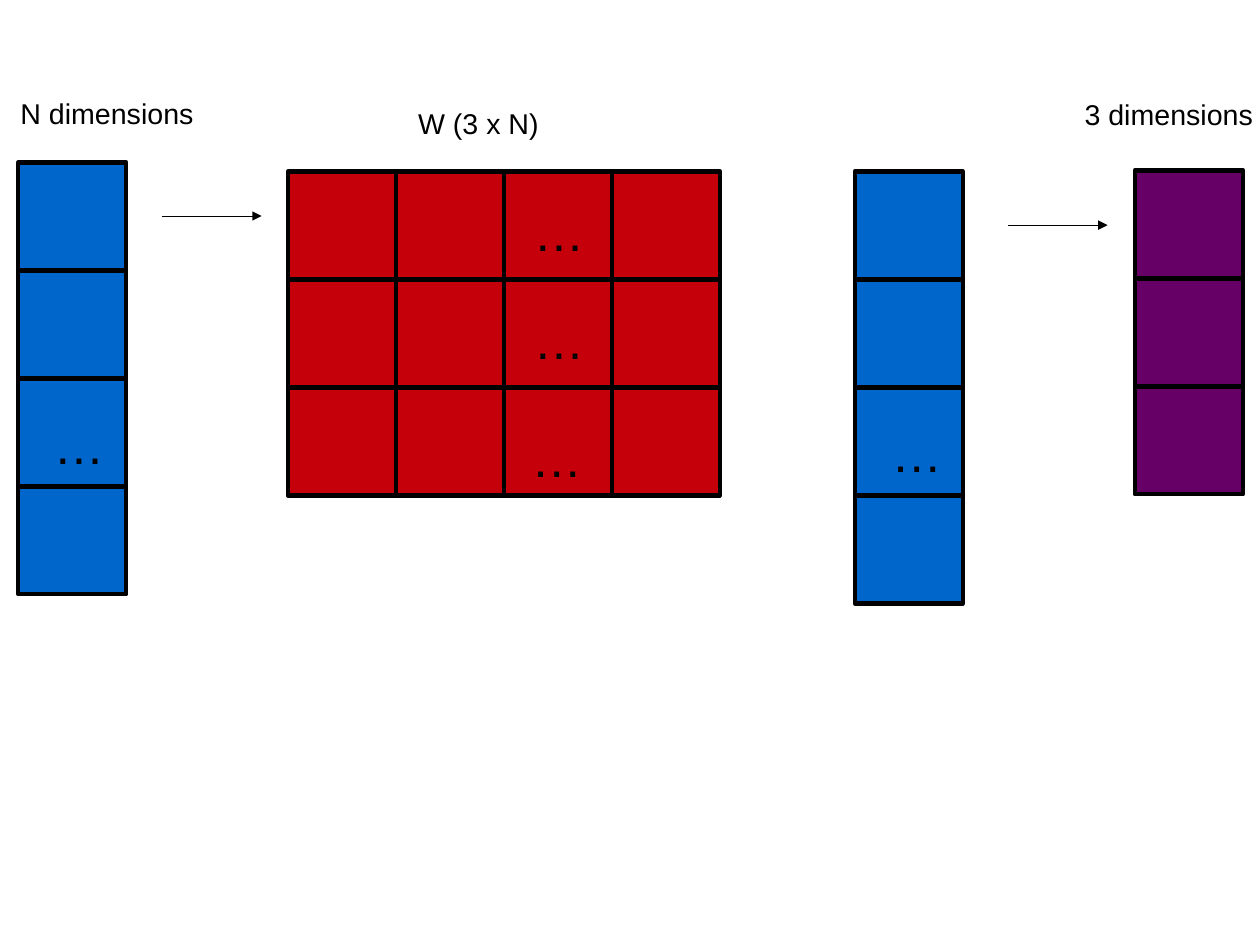
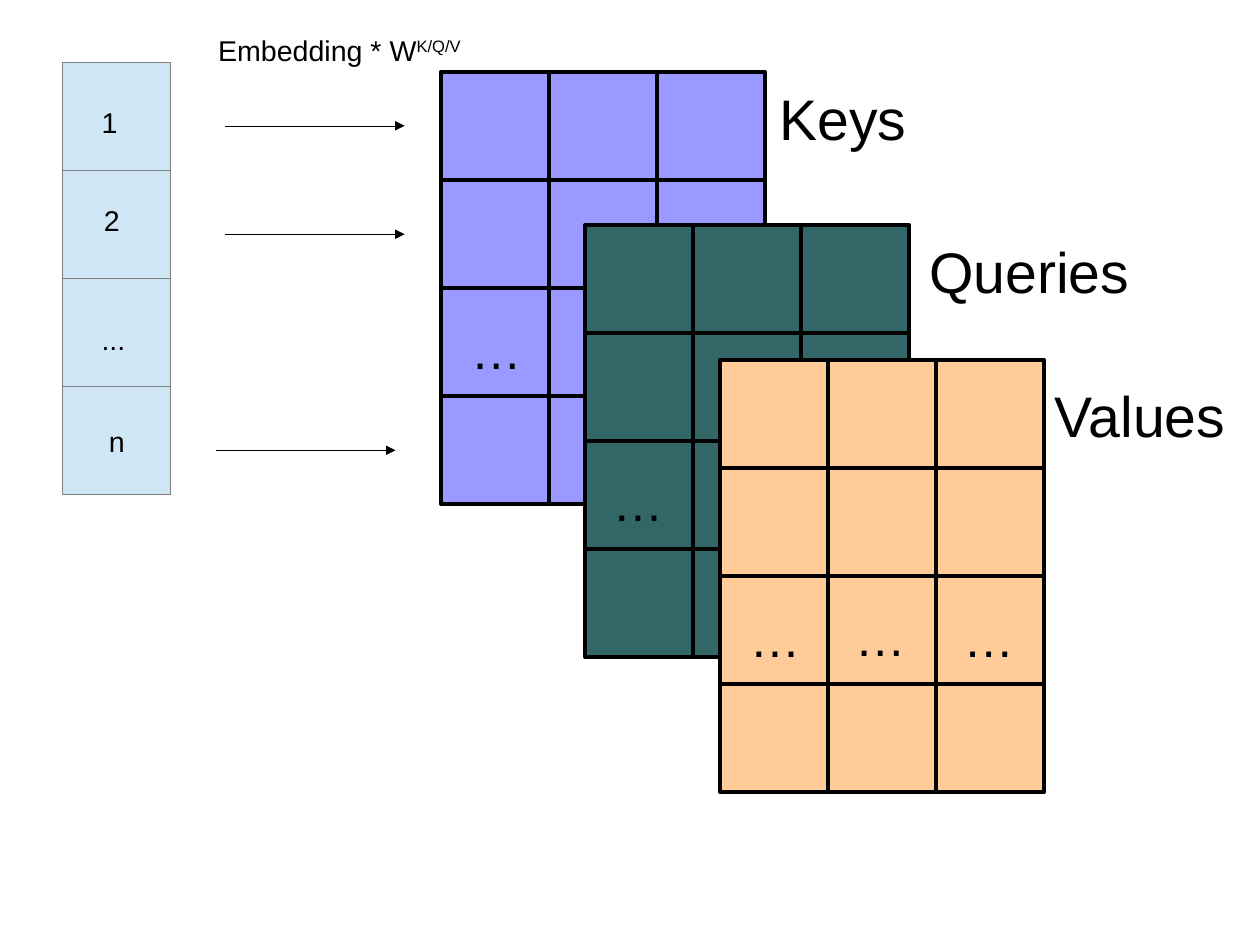
import pptx
import pptx.dml.color
import pptx.enum.dml
import pptx.enum.shapes
import pptx.enum.text
import pptx.oxml.ns
import pptx.util
from lxml import etree

Inches = pptx.util.Inches
Pt = pptx.util.Pt
RGBColor = pptx.dml.color.RGBColor
MSO_ANCHOR = pptx.enum.text.MSO_ANCHOR
PP_ALIGN = pptx.enum.text.PP_ALIGN
qn = pptx.oxml.ns.qn

BLACK = RGBColor(0x00, 0x00, 0x00)
GREY = RGBColor(0x80, 0x80, 0x80)
INPUT_BLUE = RGBColor(0x00, 0x66, 0xCC)
WEIGHT_RED = RGBColor(0xC5, 0x00, 0x0B)
OUTPUT_PURPLE = RGBColor(0x66, 0x00, 0x66)
KEY_LILAC = RGBColor(0x99, 0x99, 0xFF)
QUERY_GREEN = RGBColor(0x33, 0x66, 0x66)
VALUE_ORANGE = RGBColor(0xFF, 0xCC, 0x99)
TOKEN_BLUE = RGBColor(0xCF, 0xE7, 0xF5)

CM_PER_INCH = 2.54
PAGE_WIDTH = 28 / CM_PER_INCH
PAGE_HEIGHT = 21 / CM_PER_INCH
CELL = 2.4 / CM_PER_INCH
THICK = Pt(2.83)
HAIRLINE = Pt(0)

LABEL_MARGINS = {
    "margin_left": Inches(0.1),
    "margin_right": Inches(0.1),
    "margin_top": Inches(0.05),
    "margin_bottom": Inches(0.05),
}
DOTS_MARGINS = {
    "margin_left": Inches(0.16),
    "margin_right": Inches(0.16),
    "margin_top": Inches(0.11),
    "margin_bottom": Inches(0.11),
}


def apply_format(target, values):
    for attribute, value in values.items():
        setattr(target, attribute, value)


def set_line(line, color, width):
    line.color.rgb = color
    outline = line._get_or_add_ln()
    outline.set("w", str(int(width)))
    return outline


def add_run(paragraph, text, size):
    run = paragraph.add_run()
    run.text = text
    apply_format(run.font, {"name": "Arial", "size": Pt(size)})
    run.font.color.rgb = BLACK
    return run


def add_grid(slide, left, top, rows, columns, fill, border=BLACK, width=THICK):
    cells = []
    for row in range(rows):
        for column in range(columns):
            cell = slide.shapes.add_shape(
                pptx.enum.shapes.MSO_SHAPE.RECTANGLE,
                Inches(left + column * CELL), Inches(top + row * CELL),
                Inches(CELL), Inches(CELL))
            cell.shadow.inherit = False
            cell.fill.solid()
            cell.fill.fore_color.rgb = fill
            set_line(cell.line, border, width)
            cells.append(cell)
    return cells


def add_label(slide, text, left, top, width, height=0.38, size=18,
              margins=LABEL_MARGINS):
    label = slide.shapes.add_textbox(
        Inches(left), Inches(top), Inches(width), Inches(height))
    frame = label.text_frame
    apply_format(frame, margins)
    apply_format(frame, {
        "word_wrap": False,
        "auto_size": pptx.enum.text.MSO_AUTO_SIZE.SHAPE_TO_FIT_TEXT,
        "vertical_anchor": MSO_ANCHOR.TOP,
    })
    add_run(frame.paragraphs[0], text, size)
    return frame.paragraphs[0]


def add_dots(slide, left, top):
    add_label(slide, "…", left, top, 0.76, 0.72, 32, DOTS_MARGINS)


def add_arrow(slide, left, y, length):
    arrow = slide.shapes.add_connector(
        pptx.enum.shapes.MSO_CONNECTOR.STRAIGHT,
        Inches(left), Inches(y), Inches(left + length), Inches(y))
    outline = set_line(arrow.line, BLACK, HAIRLINE)
    etree.SubElement(outline, qn("a:tailEnd"), type="triangle")
    etree.SubElement(arrow._element.spPr, qn("a:effectLst"))


def build_projection(slide):
    add_grid(slide, 0.16, 1.42, 4, 1, INPUT_BLUE)
    add_grid(slide, 2.52, 1.5, 3, 4, WEIGHT_RED)
    add_grid(slide, 7.48, 1.5, 4, 1, INPUT_BLUE)
    add_grid(slide, 9.93, 1.49, 3, 1, OUTPUT_PURPLE)
    for left, top in ((0.31, 3.51), (4.51, 1.65), (4.51, 2.59),
                      (4.49, 3.62), (7.64, 3.58)):
        add_dots(slide, left, top)
    for left, y in ((1.42, 1.89), (8.82, 1.97)):
        add_arrow(slide, left, y, 0.87)
    add_label(slide, "N dimensions", 0.08, 0.79, 1.75)
    add_label(slide, "W (3 x N)", 3.56, 0.88, 1.3)
    add_label(slide, "3 dimensions", 9.39, 0.8, 1.69)


def build_attention(slide):
    for left, top, fill in ((3.86, 0.63, KEY_LILAC),
                            (5.12, 1.97, QUERY_GREEN),
                            (6.3, 3.15, VALUE_ORANGE)):
        add_grid(slide, left, top, 4, 3, fill)

    tokens = add_grid(slide, 0.55, 0.55, 4, 1, TOKEN_BLUE, GREY, HAIRLINE)
    last_token = tokens[-1].text_frame
    apply_format(last_token, LABEL_MARGINS)
    last_token.vertical_anchor = MSO_ANCHOR.MIDDLE
    last_token.paragraphs[0].alignment = PP_ALIGN.CENTER
    add_run(last_token.paragraphs[0], "n", 18)
    for text, left, top, width in (("1", 0.79, 0.87, 0.34),
                                   ("2", 0.81, 1.73, 0.34),
                                   ("...", 0.79, 2.77, 0.41)):
        add_label(slide, text, left, top, width)

    for left, y in ((1.97, 1.1), (1.97, 2.05), (1.89, 3.94)):
        add_arrow(slide, left, y, 1.57)
    for left, top in ((3.96, 2.68), (5.2, 4.01), (6.4, 5.2),
                      (7.32, 5.19), (8.27, 5.2)):
        add_dots(slide, left, top)

    product = add_label(slide, "Embedding * W", 1.81, 0.24, 2.4)
    superscript = add_run(product, "K/Q/V", 18)
    superscript.font._element.set("baseline", "33000")
    for text, left, top, width in (("Keys", 6.72, 0.68, 1.31),
                                   ("Queries", 8.03, 2.02, 1.95),
                                   ("Values", 9.13, 3.28, 1.73)):
        add_label(slide, text, left, top, width, 0.66, 36)


def main():
    presentation = pptx.Presentation()
    presentation.slide_width = Inches(PAGE_WIDTH)
    presentation.slide_height = Inches(PAGE_HEIGHT)
    blank_layout = presentation.slide_layouts[6]
    for build in (build_projection, build_attention):
        build(presentation.slides.add_slide(blank_layout))
    presentation.save("out.pptx")


if __name__ == "__main__":
    main()
